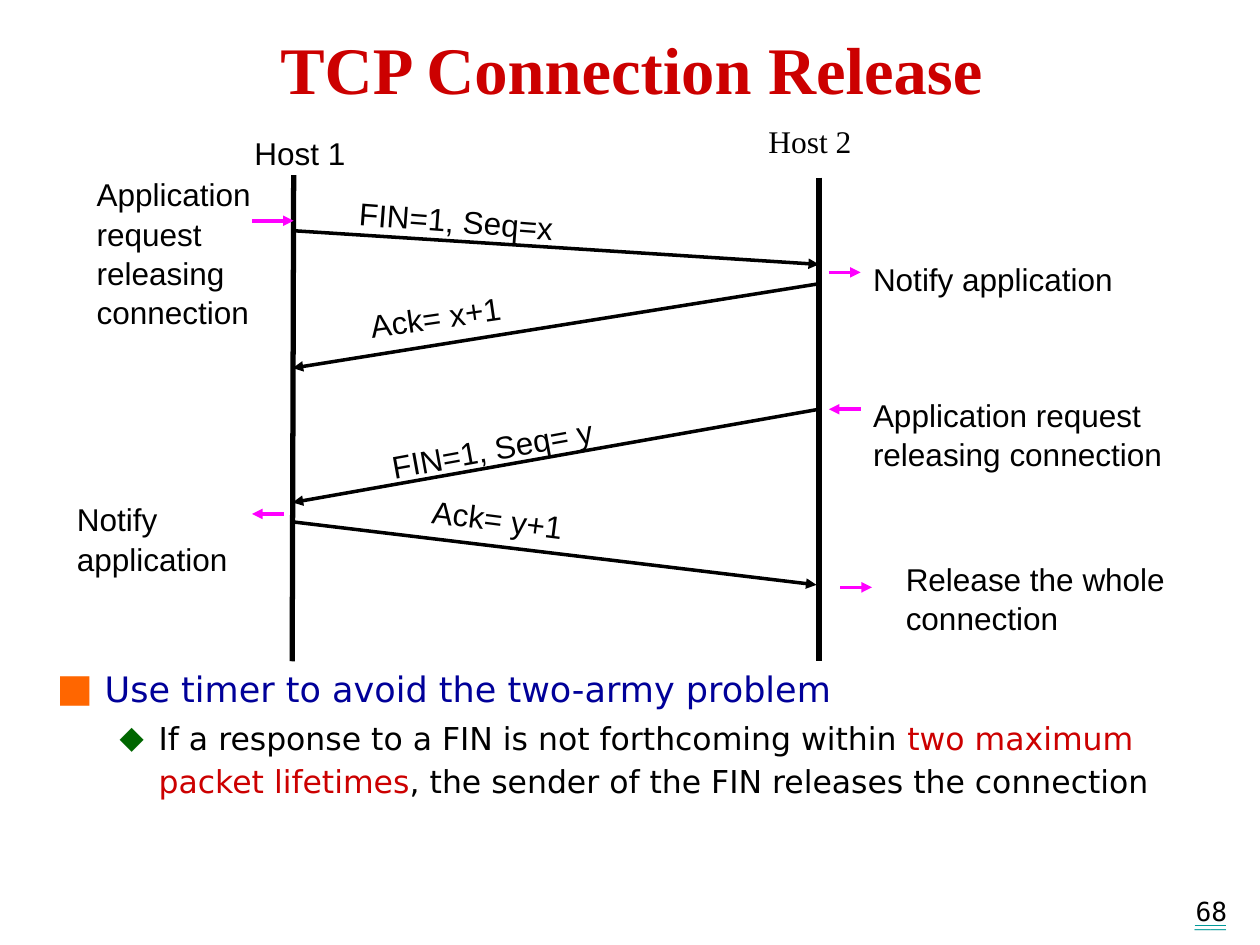
from lxml import etree
from pptx import Presentation
from pptx.enum import shapes, text
from pptx.oxml import ns
from pptx.util import Cm, Pt
from pptx.dml.color import RGBColor

COLORS = {"black": "000000", "red": "CC0000", "magenta": "FF00FF", "navy": "000099",
          "orange": "FF6600", "green": "006600", "teal": "009999"}
SANS, SERIF, BODY, MONO = "Arial", "Times New Roman", "DejaVu Sans", "DejaVu Sans Mono"
LEFT_HOST, RIGHT_HOST = 5.9, 16.51

# Positions in centimetres: start x, start y, end x, end y
LIFELINES = [(5.92, 3.53, 5.89, 13.33), (RIGHT_HOST, 3.58, RIGHT_HOST, 13.33)]
MESSAGES = [
    (LEFT_HOST, 4.65, RIGHT_HOST, 5.33),
    (RIGHT_HOST, 5.72, LEFT_HOST, 7.42),
    (RIGHT_HOST, 8.25, LEFT_HOST, 10.13),
    (LEFT_HOST, 10.52, 16.46, 11.79),
]
# Arrows between an application and its host: start x, end x, y
APP_EVENTS = [(5.08, 5.92, 4.45), (16.71, 17.35, 5.49), (17.35, 16.71, 8.25),
              (5.72, 5.08, 10.36), (16.94, 17.58, 11.84)]
# Words, left, top, width, height
APP_LABELS = [
    ("Host 1", 4.88, 2.54, 2.54, 1.02),
    ("Application request releasing connection", 1.7, 3.38, 4.01, 3.3),
    ("Notify application", 17.35, 5.08, 6.15, 1.02),
    ("Application request releasing connection", 17.35, 7.82, 8.05, 1.78),
    ("Notify application", 1.3, 9.93, 4.01, 1.78),
    ("Release the whole connection", 18.01, 11.13, 7.39, 1.78),
]
# Words, left, top, width, rotation
MESSAGE_LABELS = [
    ("FIN=1, Seq=x", 6.99, 3.91, 4.42, 4.4),
    ("Ack= x+1", 7.19, 5.72, 4.88, -8.4),
    ("FIN=1, Seq= y", 7.62, 8.51, 4.6, -10.3),
    ("Ack= y+1", 8.46, 9.93, 3.15, 7.4),
]
# Runs, size, left margin, hanging indent, space before, line spacing, bullet
NOTES = [
    ([("Use timer to avoid the two-army problem", "navy")],
     20, 0.97, 0.97, 0, 1, ("■", "orange", 110)),
    ([("If a response to a FIN is not forthcoming within ", "black"),
      ("two maximum packet lifetimes", "red"),
      (", the sender of the FIN releases the connection", "black")],
     18, 2.06, 0.79, 2, 1.15, ("◆", "green", 100)),
]


def rgb(name):
    return RGBColor.from_string(COLORS[name])


def style(span, face, size, color):
    span.font.name = face
    span.font.size = Pt(size)
    span.font.color.rgb = rgb(color)


def add_box(page, left, top, width, height, wrap=True):
    box = page.shapes.add_textbox(Cm(left), Cm(top), Cm(width), Cm(height))
    box.text_frame.word_wrap = wrap
    return box


def add_label(page, words, place, face=SANS, size=18, color="black", wrap=True, spacing=1.04):
    box = add_box(page, *place, wrap)
    box.text_frame.text = words
    para = box.text_frame.paragraphs[0]
    para.line_spacing = spacing
    style(para.runs[0], face, size, color)
    return box


def add_line(page, start_x, start_y, end_x, end_y, color="black", width=2, arrow=True):
    line = page.shapes.add_connector(shapes.MSO_CONNECTOR.STRAIGHT, Cm(start_x),
                                     Cm(start_y), Cm(end_x), Cm(end_y))
    line.line.color.rgb = rgb(color)
    line.line.width = Pt(width)
    if arrow:
        etree.SubElement(line.line._get_or_add_ln(), ns.qn("a:tailEnd"), type="triangle")
    etree.SubElement(line._element.spPr, ns.qn("a:effectLst"))


def add_bullet(para, left, hanging, mark, color, percent):
    props = para._p.get_or_add_pPr()
    props.set("marL", str(Cm(left)))
    props.set("indent", str(-Cm(hanging)))
    bullet_color = etree.SubElement(props, ns.qn("a:buClr"))
    etree.SubElement(bullet_color, ns.qn("a:srgbClr"), val=COLORS[color])
    etree.SubElement(props, ns.qn("a:buSzPct"), val=str(percent * 1000))
    etree.SubElement(props, ns.qn("a:buFont"), typeface=BODY)
    etree.SubElement(props, ns.qn("a:buChar"), char=mark)


def add_notes(page):
    frame = add_box(page, 0.89, 13.33, 23.24, 4.8).text_frame
    for index, (spans, size, left, hanging, before, spacing, bullet) in enumerate(NOTES):
        para = frame.add_paragraph() if index else frame.paragraphs[0]
        add_bullet(para, left, hanging, *bullet)
        para.line_spacing = spacing
        para.space_before = Pt(before)
        for words, color in spans:
            span = para.add_run()
            span.text = words
            style(span, BODY, size, color)


def add_page_number(page):
    number = add_label(page, "68", (20.9, 17.93, 4.09, 0.71), MONO, 15, spacing=1)
    rule = add_label(page, "__", (20.88, 17.98, 4.09, 0.71), MONO, 15, "teal", spacing=1)
    rule.text_frame.paragraphs[0].runs[0].font.underline = True
    for box in (number, rule):
        box.text_frame.paragraphs[0].alignment = text.PP_ALIGN.RIGHT


def main():
    deck = Presentation()
    deck.slide_width, deck.slide_height = Cm(25.4), Cm(19.05)
    page = deck.slides.add_slide(deck.slide_layouts[6])

    add_page_number(page)
    title = add_label(page, "TCP Connection Release", (1.7, 0.46, 22.07, 1.83),
                      SERIF, 38, "red", spacing=1)
    title.text_frame.vertical_anchor = text.MSO_ANCHOR.MIDDLE
    title.text_frame.paragraphs[0].alignment = text.PP_ALIGN.CENTER
    title.text_frame.paragraphs[0].runs[0].font.bold = True

    for ends in LIFELINES:
        add_line(page, *ends, width=3, arrow=False)
    for ends in MESSAGES:
        add_line(page, *ends)
    for start, end, y in APP_EVENTS:
        add_line(page, start, y, end, y, "magenta")

    add_label(page, "Host 2", (15.24, 2.31, 2.18, 1.02), SERIF, wrap=False)
    for words, *place in APP_LABELS:
        add_label(page, words, place)
    for words, left, top, width, angle in MESSAGE_LABELS:
        add_label(page, words, (left, top, width, 1.02)).rotation = angle
    add_notes(page)
    deck.save("out.pptx")


if __name__ == "__main__":
    main()
